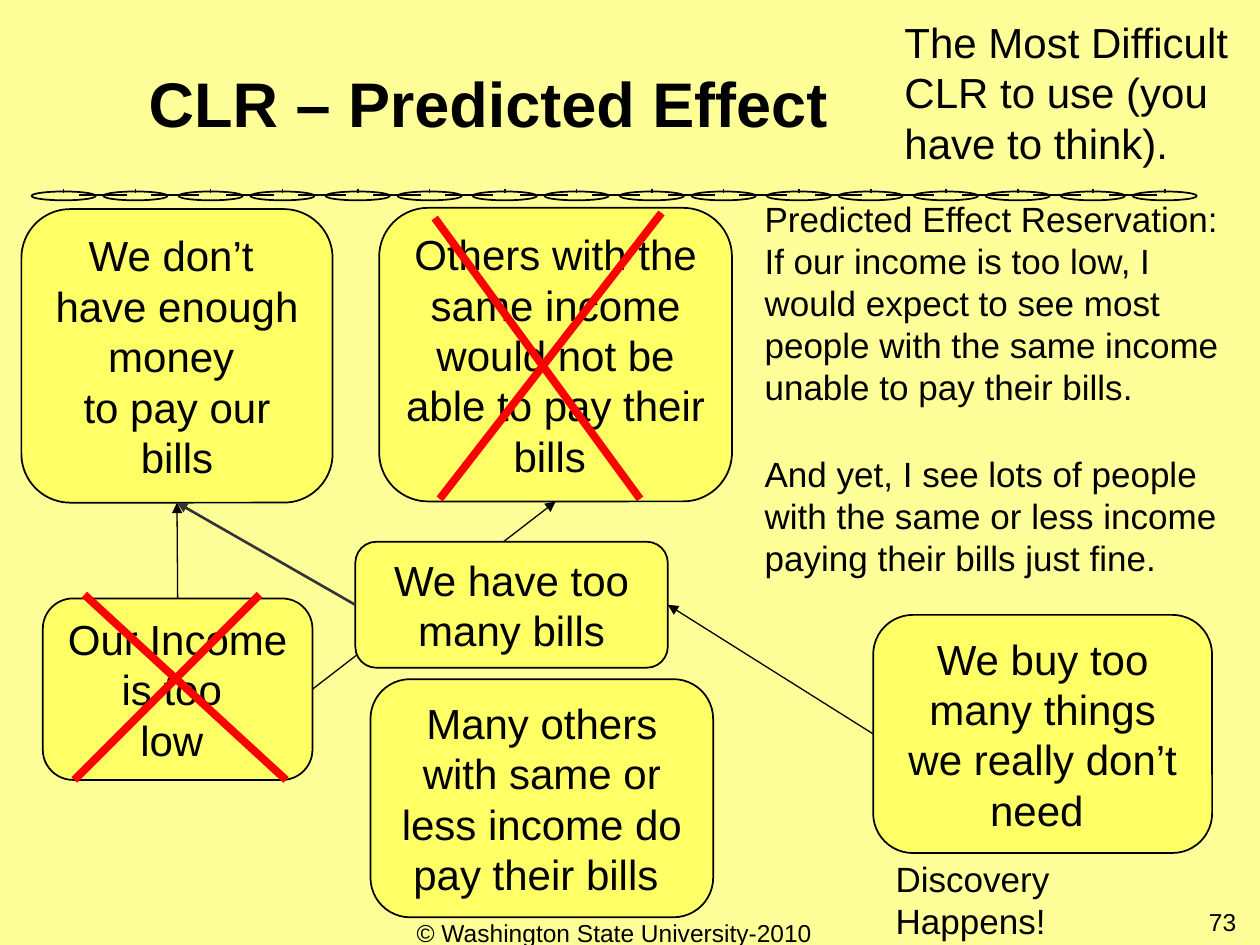
from lxml import etree
from pptx import Presentation
from pptx.dml.color import RGBColor
from pptx.enum.shapes import MSO_CONNECTOR, MSO_SHAPE
from pptx.enum.text import MSO_ANCHOR, PP_ALIGN
from pptx.oxml.ns import qn
from pptx.util import Inches, Pt

LEFT, CENTER, RIGHT = PP_ALIGN.LEFT, PP_ALIGN.CENTER, PP_ALIGN.RIGHT
STRAIGHT = MSO_CONNECTOR.STRAIGHT
ROUNDED, OVAL = MSO_SHAPE.ROUNDED_RECTANGLE, MSO_SHAPE.OVAL
TOP, LEFT_SIDE, BOTTOM, RIGHT_SIDE = range(4)
FONT = "Arial"
COLORS = {"page": "FFFF99", "box": "FFFF66", "ink": "000000",
          "cross": "FF0000", "gray": "333333"}

# Content: entities as name, (left, top, width, height), paragraphs
TITLE = "CLR – Predicted Effect"
BOXES = [
    ("income", (0.34, 4.75, 2.14, 1.44), ["Our Income", "is too ", "low "]),
    ("money", (0.17, 1.66, 2.47, 2.33),
     ["We don’t ", "have enough", "money ", "to pay our", "bills"]),
    ("others", (3.01, 1.65, 2.8, 2.33),
     ["Others with the same income would not be able to pay their bills "]),
    ("many", (2.94, 5.39, 2.72, 1.89),
     ["Many others with same or less income do pay their bills "]),
    ("buy", (6.93, 4.88, 2.69, 1.89),
     ["We buy too many things we really don’t need "]),
    ("bills", (2.82, 4.3, 2.48, 1), ["We have too many bills"]),
]
# Arrows drawn once the named box is in place: start, side, end, side, color, width
ARROWS = {
    "others": [("income", RIGHT_SIDE, "others", BOTTOM, "ink", 0.75),
               ("income", TOP, "money", BOTTOM, "ink", 0.75)],
    "bills": [("buy", LEFT_SIDE, "bills", RIGHT_SIDE, "ink", 0.75),
              ("bills", LEFT_SIDE, "money", BOTTOM, "gray", 1.5)],
}
CROSSES = [(3.45, 1.73, 5.08, 3.96), (5.25, 1.69, 3.49, 3.96),
           (0.67, 4.72, 2.27, 6.19), (2.06, 4.72, 0.59, 6.19)]
# Notes: (left, top, width, height), size, alignment, wrap, text
NOTES = [
    ((5.97, 1.52, 4.03, 1.77), 20, LEFT, True,
     "Predicted Effect Reservation:\vIf our income is too low, I would expect "
     "to see most people with the same income unable to pay their bills."),
    ((5.97, 3.54, 3.99, 1.09), 20, LEFT, True,
     "And yet, I see lots of people with the same or less income paying "
     "their bills just fine."),
    ((7.01, 6.76, 2.67, 0.42), 20, LEFT, False, "Discovery Happens!"),
    ((7.08, 0.08, 2.92, 1.3), 24, LEFT, True,
     "The Most Difficult CLR to use (you have to think)."),
    ((7.58, 7.15, 2.33, 0.52), 14, RIGHT, True, "73"),
    ((3, 7.24, 3.75, 0.52), 14, CENTER, True,
     "© Washington State University-2010"),
]
# Chain rule: pairs of links
CHAIN_LEFT, PAIR_COUNT, PAIR_PITCH, LINK_PITCH = 0.25, 8, 1.167, 0.57
LINK_W, LINK_H, LINK_TOP, CHAIN_Y = 0.51, 0.07, 1.52, 1.55


def rgb(name):
    return RGBColor.from_string(COLORS[name])


def inches(values):
    return [Inches(v) for v in values]


def write(tf, paragraphs, size, align, bold=False):
    tf.word_wrap = True
    tf.text = "\n".join(paragraphs)
    for p in tf.paragraphs:
        p.alignment = align
        p.font.name, p.font.size, p.font.bold = FONT, Pt(size), bold
        p.font.color.rgb = rgb("ink")


def add_outlined(s, kind, at):
    sp = s.shapes.add_shape(kind, *inches(at))
    sp.shadow.inherit = False
    sp.line.color.rgb = rgb("ink")
    sp.line.width = Pt(1)
    return sp


def add_line(s, ends, color="ink", width=1, arrow=False):
    cx = s.shapes.add_connector(STRAIGHT, *inches(ends))
    cx.line.color.rgb = rgb(color)
    cx.line.width = Pt(width)
    if arrow:
        etree.SubElement(cx.line._get_or_add_ln(), qn("a:tailEnd"), type="triangle")
    etree.SubElement(cx._element.spPr, qn("a:effectLst"))
    return cx


def add_chain(s):
    links = [CHAIN_LEFT + i * PAIR_PITCH + j * LINK_PITCH
             for i in range(PAIR_COUNT) for j in range(2)]
    for x in links:
        add_outlined(s, OVAL, (x, LINK_TOP, LINK_W, LINK_H)).fill.background()
        middle = x + LINK_W / 2
        add_line(s, (middle, 1.5, middle, 1.53))
        if x != links[-1]:
            add_line(s, (x + 0.76, CHAIN_Y, x + 0.38, CHAIN_Y))


def main():
    prs = Presentation()
    prs.slide_width, prs.slide_height = Inches(10), Inches(7.5)
    s = prs.slides.add_slide(prs.slide_layouts[5])
    s.background.fill.solid()
    s.background.fill.fore_color.rgb = rgb("page")
    add_chain(s)

    # Title
    title = s.shapes.title
    title.left, title.top, title.width, title.height = inches((0, 0.42, 7.75, 0.75))
    write(title.text_frame, [TITLE], 36, CENTER, bold=True)
    title.text_frame.vertical_anchor = MSO_ANCHOR.BOTTOM
    title.text_frame.paragraphs[0].line_spacing = 0.9

    # Entities and the arrows between them
    boxes = {}
    for name, at, paragraphs in BOXES:
        sp = boxes[name] = add_outlined(s, ROUNDED, at)
        sp.fill.solid()
        sp.fill.fore_color.rgb = rgb("box")
        write(sp.text_frame, paragraphs, 24, CENTER)
        sp.text_frame.vertical_anchor = MSO_ANCHOR.MIDDLE
        for start, side, end, end_side, color, width in ARROWS.get(name, []):
            cx = add_line(s, (0, 0, 1, 1), color, width, arrow=True)
            cx.begin_connect(boxes[start], side)
            cx.end_connect(boxes[end], end_side)

    # Strike-outs
    for ends in CROSSES:
        add_line(s, ends, "cross", 4.5)

    # Notes and footer
    for at, size, align, wrap, text in NOTES:
        tf = s.shapes.add_textbox(*inches(at)).text_frame
        write(tf, [text], size, align)
        tf.word_wrap = wrap

    prs.save("out.pptx")


if __name__ == "__main__":
    main()
